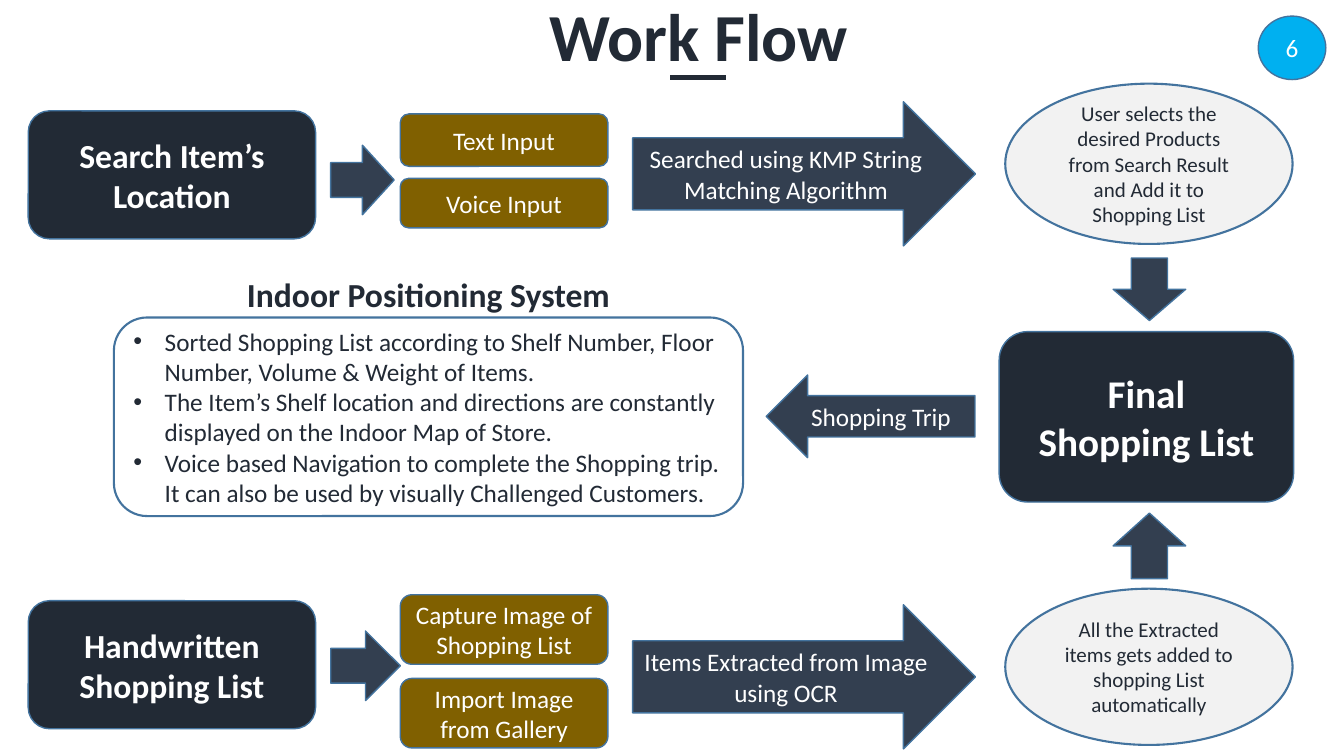
from collections import namedtuple
from lxml import etree
from pptx import Presentation
from pptx.dml.color import RGBColor
from pptx.enum.shapes import MSO_CONNECTOR, MSO_SHAPE
from pptx.enum.text import MSO_ANCHOR, MSO_AUTO_SIZE, PP_ALIGN
from pptx.oxml.ns import qn
from pptx.util import Inches, Pt

ROUNDED = MSO_SHAPE.ROUNDED_RECTANGLE
OVAL = MSO_SHAPE.OVAL
RIGHT = MSO_SHAPE.RIGHT_ARROW
LEFT = MSO_SHAPE.LEFT_ARROW
UP = MSO_SHAPE.UP_ARROW
DOWN = MSO_SHAPE.DOWN_ARROW
STRAIGHT = MSO_CONNECTOR.STRAIGHT
CENTER = PP_ALIGN.CENTER
ALIGN_LEFT = PP_ALIGN.LEFT
MIDDLE = MSO_ANCHOR.MIDDLE
FIT_SHAPE = MSO_AUTO_SIZE.SHAPE_TO_FIT_TEXT

Theme = namedtuple(
    "Theme",
    "font ink slate olive pale white sky outline title final heading body note thin thick rule",
)
theme = Theme(
    font="Calibri", ink="222A35", slate="333F50", olive="806000", pale="F2F2F2",
    white="FFFFFF", sky="00B0F0", outline="43739E",
    title=48, final=28, heading=24, body=18, note=15, thin=1, thick=1.5, rule=4,
)

deck = Presentation()
deck.slide_width = Inches(13.33)
deck.slide_height = Inches(7.5)
page = deck.slides.add_slide(deck.slide_layouts[6])

CELL = Inches(0.1)
STAGE_COLUMN, STAGE_WIDTH, STAGE_HEIGHT = 2.8, 28.5, 12.7
INPUT_COLUMN, INPUT_WIDTH = 39.7, 20.6
PROCESS_COLUMN, PROCESS_WIDTH = 62.75, 34
RESULT_COLUMN, RESULT_WIDTH = 99.7, 28.5
LINK_COLUMN, LINK_WIDTH = 110.4, 7.2


def write(box, lines, size, color, bold=False, align=CENTER):
    frame = box.text_frame
    for index, line in enumerate(lines):
        para = frame.paragraphs[0] if index == 0 else frame.add_paragraph()
        para.alignment = align
        span = para.add_run()
        span.text = line
        span.font.name = theme.font
        span.font.size = Pt(size)
        span.font.bold = bold
        span.font.color.rgb = RGBColor.from_string(color)


def place(kind, column, row, columns, rows, fill, weight=theme.thin):
    frame = [round(cells * CELL) for cells in (column, row, columns, rows)]
    box = page.shapes.add_shape(kind, *frame)
    box.shadow.inherit = False
    box.fill.solid()
    box.fill.fore_color.rgb = RGBColor.from_string(fill)
    box.line.color.rgb = RGBColor.from_string(theme.outline)
    box.line.width = Pt(weight)
    box.text_frame.word_wrap = True
    box.text_frame.vertical_anchor = MIDDLE
    return box


stages = [
    (11, "Search Item’s Location"),
    (59.6, "Handwritten Shopping List"),
]
for row, label in stages:
    stage = place(ROUNDED, STAGE_COLUMN, row, STAGE_WIDTH, STAGE_HEIGHT, theme.ink)
    write(stage, [label], theme.heading, theme.white, bold=True)

final_list = place(ROUNDED, 99.1, 32.9, 29.2, 16.9, theme.ink)
write(final_list, ["Final", "Shopping List"], theme.final, theme.white, bold=True)

inputs = [
    (11.3, 5.2, "Text Input"),
    (17.7, 4.9, "Voice Input"),
    (59, 6.9, "Capture Image of Shopping List"),
    (67.3, 6.9, "Import Image from Gallery"),
]
for row, height, label in inputs:
    choice = place(ROUNDED, INPUT_COLUMN, row, INPUT_WIDTH, height, theme.olive)
    write(choice, [label], theme.body, theme.white)

processes = [
    (10.1, "Searched using KMP String Matching Algorithm"),
    (60, "Items Extracted from Image using OCR"),
]
for row, label in processes:
    process = place(RIGHT, PROCESS_COLUMN, row, PROCESS_WIDTH, 14.3, theme.slate)
    write(process, [label], theme.body, theme.white)

trip = place(LEFT, 76, 37.2, 20.7, 8.2, theme.slate)
write(trip, ["Shopping Trip"], theme.body, theme.white)

links = [
    (RIGHT, 32.8, 14.4, 6.3, 6.9),
    (RIGHT, 32.8, 62.6, 6.9, 6.9),
    (DOWN, LINK_COLUMN, 25.6, LINK_WIDTH, 6.2),
    (UP, LINK_COLUMN, 50.9, LINK_WIDTH, 6.5),
]
for kind, column, row, columns, rows in links:
    place(kind, column, row, columns, rows, theme.slate)

results = [
    (8.3, 15.9, "User selects the desired Products from Search Result and Add it to Shopping List"),
    (58.4, 15.5, "All the Extracted items gets added to shopping List automatically"),
]
for row, height, label in results:
    result = place(OVAL, RESULT_COLUMN, row, RESULT_WIDTH, height, theme.pale, theme.thick)
    write(result, [label], theme.note, theme.ink)

positioning = place(ROUNDED, 11.3, 31.5, 62.4, 19.7, theme.white, theme.thick)
features = [
    "Sorted Shopping List according to Shelf Number, Floor Number, Volume & Weight of Items.",
    "The Item’s Shelf location and directions are constantly displayed on the Indoor Map of Store.",
    "Voice based Navigation to complete the Shopping trip. "
    "It can also be used by visually Challenged Customers.",
]
write(positioning, features, theme.body, theme.ink, align=ALIGN_LEFT)
for para in positioning.text_frame.paragraphs:
    settings = para._p.get_or_add_pPr()
    settings.set("marL", str(Inches(0.31)))
    settings.set("indent", str(-Inches(0.31)))
    etree.SubElement(settings, qn("a:buFont")).set("typeface", "Arial")
    etree.SubElement(settings, qn("a:buChar")).set("char", "•")

headings = [
    (23.3, 26.7, 38.4, 5, "Indoor Positioning System", theme.heading),
    (53.3, -1.1, 32, 9.1, "Work Flow", theme.title),
]
for column, row, columns, rows, label, size in headings:
    frame = [round(cells * CELL) for cells in (column, row, columns, rows)]
    heading = page.shapes.add_textbox(*frame)
    heading.text_frame.word_wrap = False
    heading.text_frame.auto_size = FIT_SHAPE
    write(heading, [label], size, theme.ink, bold=True)

ends = [round(cells * CELL) for cells in (66.5, 7.7, 72, 7.7)]
underline = page.shapes.add_connector(STRAIGHT, *ends)
underline.line.color.rgb = RGBColor.from_string(theme.ink)
underline.line.width = Pt(theme.rule)
etree.SubElement(underline._element.spPr, qn("a:effectLst"))

badge = place(OVAL, 124.8, 1.6, 6.7, 6.3, theme.sky)
write(badge, ["6"], theme.body, theme.white)

deck.save("out.pptx")
